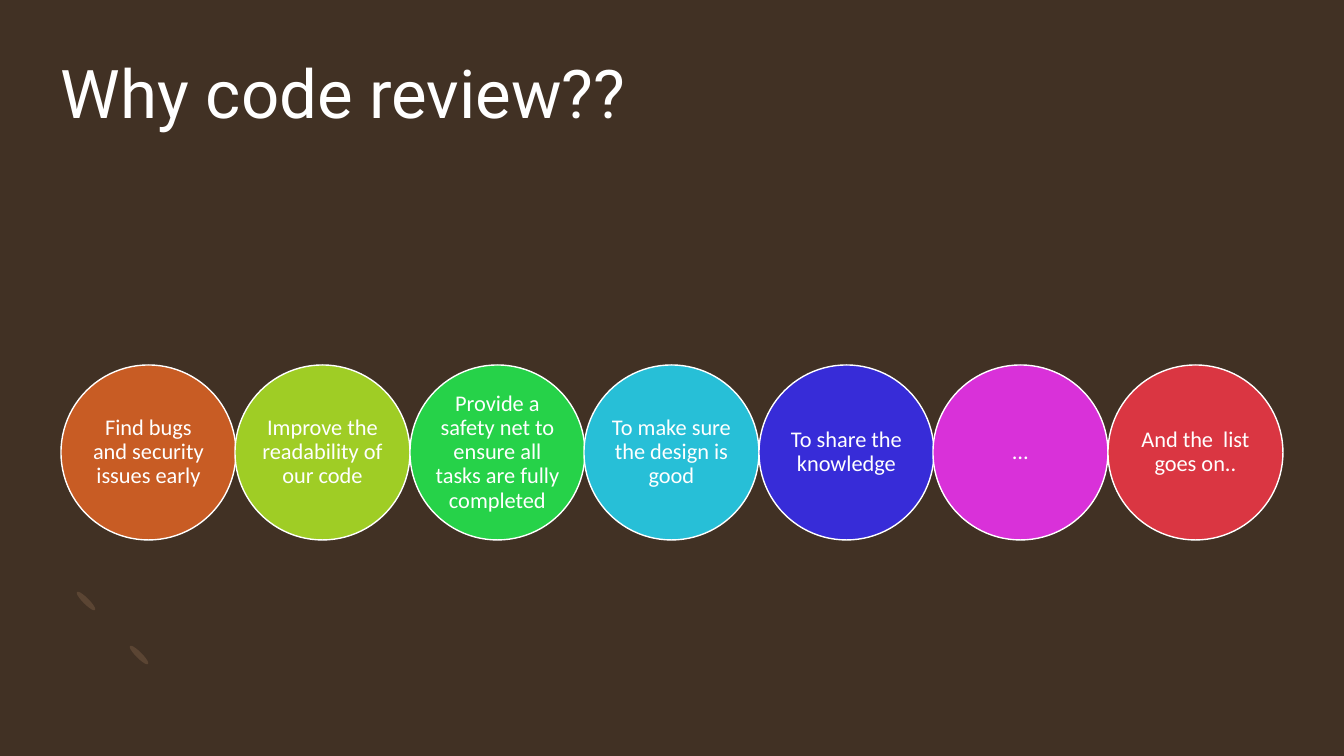
from lxml.etree import SubElement
from pptx import Presentation
from pptx.dml.color import RGBColor
from pptx.enum.shapes import MSO_SHAPE
from pptx.enum.text import MSO_ANCHOR, PP_ALIGN
from pptx.oxml.ns import qn
from pptx.util import Emu, Pt

SCALE = 12192000 / 1344
BROWN = RGBColor(0x41, 0x31, 0x24)
BEAN = RGBColor(0x5B, 0x45, 0x33)
SAND = RGBColor(0xB6, 0x96, 0x7B)
WHITE = RGBColor(0xFF, 0xFF, 0xFF)
ORANGE = RGBColor(0xC8, 0x5C, 0x24)
LIME = RGBColor(0x9F, 0xCD, 0x25)
GREEN = RGBColor(0x26, 0xD2, 0x49)
CYAN = RGBColor(0x27, 0xBF, 0xD7)
BLUE = RGBColor(0x37, 0x2C, 0xD8)
PINK = RGBColor(0xD9, 0x31, 0xD9)
RED = RGBColor(0xDA, 0x36, 0x42)

REASONS = [
    ("Find bugs and security issues early", ORANGE),
    ("Improve the readability of our code", LIME),
    ("Provide a safety net to ensure all tasks are fully completed", GREEN),
    ("To make sure the design is good", CYAN),
    ("To share the knowledge", BLUE),
    ("…", PINK),
    ("And the  list goes on..", RED),
]
ARC = [
    [(77, 664), (56, 644), (58, 609), (82, 587)],
    [(100, 605), (88, 616), (87, 634), (97, 643)],
    [(97, 643), (107, 653), (124, 652), (136, 641)],
    [(153, 659), (131, 681), (96, 684), (77, 664)],
]


def px(size):
    return Emu(round(size * SCALE))


def curve(ends, steps=12):
    for step in range(steps + 1):
        t = step / steps
        parts = ((1 - t) ** 3, 3 * t * (1 - t) ** 2, 3 * t * t * (1 - t), t ** 3)
        yield tuple(sum(w * end[axis] for w, end in zip(parts, ends)) for axis in (0, 1))


class Deck:
    def __init__(self):
        self.file = Presentation()
        self.file.slide_width, self.file.slide_height = px(1344), px(756)
        self.slide = self.file.slides.add_slide(self.file.slide_layouts[6])
        self.slide.background.fill.solid()
        self.slide.background.fill.fore_color.rgb = BROWN
        self.shapes = self.slide.shapes

    def paint(self, shape, fill, line=None):
        shape.shadow.inherit = False
        shape.fill.solid()
        shape.fill.fore_color.rgb = fill
        if line is None:
            shape.line.fill.background()
        else:
            shape.line.color.rgb = line
            shape.line.width = Pt(1)

    def label(self, shape, text, font, size, align, anchor):
        frame = shape.text_frame
        frame.text = text
        frame.word_wrap = True
        frame.vertical_anchor = anchor
        frame.margin_left = frame.margin_right = 0
        frame.margin_top = frame.margin_bottom = 0
        para = frame.paragraphs[0]
        para.alignment = align
        para.line_spacing = 0.9
        style = para.runs[0].font
        style.name, style.size = font, Pt(size)
        style.color.rgb = WHITE

    def title(self, text, *box):
        shape = self.shapes.add_textbox(*map(px, box))
        self.label(shape, text, "Roboto", 48, PP_ALIGN.LEFT, MSO_ANCHOR.TOP)

    def oval(self, box, fill, line=None, turn=0):
        shape = self.shapes.add_shape(MSO_SHAPE.OVAL, *map(px, box))
        shape.rotation = turn
        self.paint(shape, fill, line)
        return shape

    def circle(self, text, fill, left, top, size):
        shape = self.oval((left, top, size, size), fill, WHITE)
        self.label(shape, text, "Calibri", 16, PP_ALIGN.CENTER, MSO_ANCHOR.MIDDLE)

    def arc(self, curves, fill):
        first, *rest = [point for ends in curves for point in curve(ends)]
        form = self.shapes.build_freeform(*first, scale=SCALE)
        form.add_line_segments(rest, close=True)
        shape = form.convert_to_shape()
        self.paint(shape, fill)
        props = shape.element.spPr
        tone = props.find(qn("a:solidFill"))[0]
        SubElement(tone, qn("a:alpha"), val="20000")
        effect = props.find(qn("a:effectLst"))
        SubElement(effect, qn("a:softEdge"), rad="127000")


def main():
    deck = Deck()
    for left, top in ((136, 642), (83, 588)):
        deck.oval((left, top, 6, 26), BEAN, turn=135)
    deck.arc(ARC, SAND)
    deck.title("Why code review??", 61, 60, 1223, 147)
    for index, (text, fill) in enumerate(REASONS):
        deck.circle(text, fill, 61 + 1222 * index // len(REASONS), 365, 175)
    deck.file.save("out.pptx")


if __name__ == "__main__":
    main()
